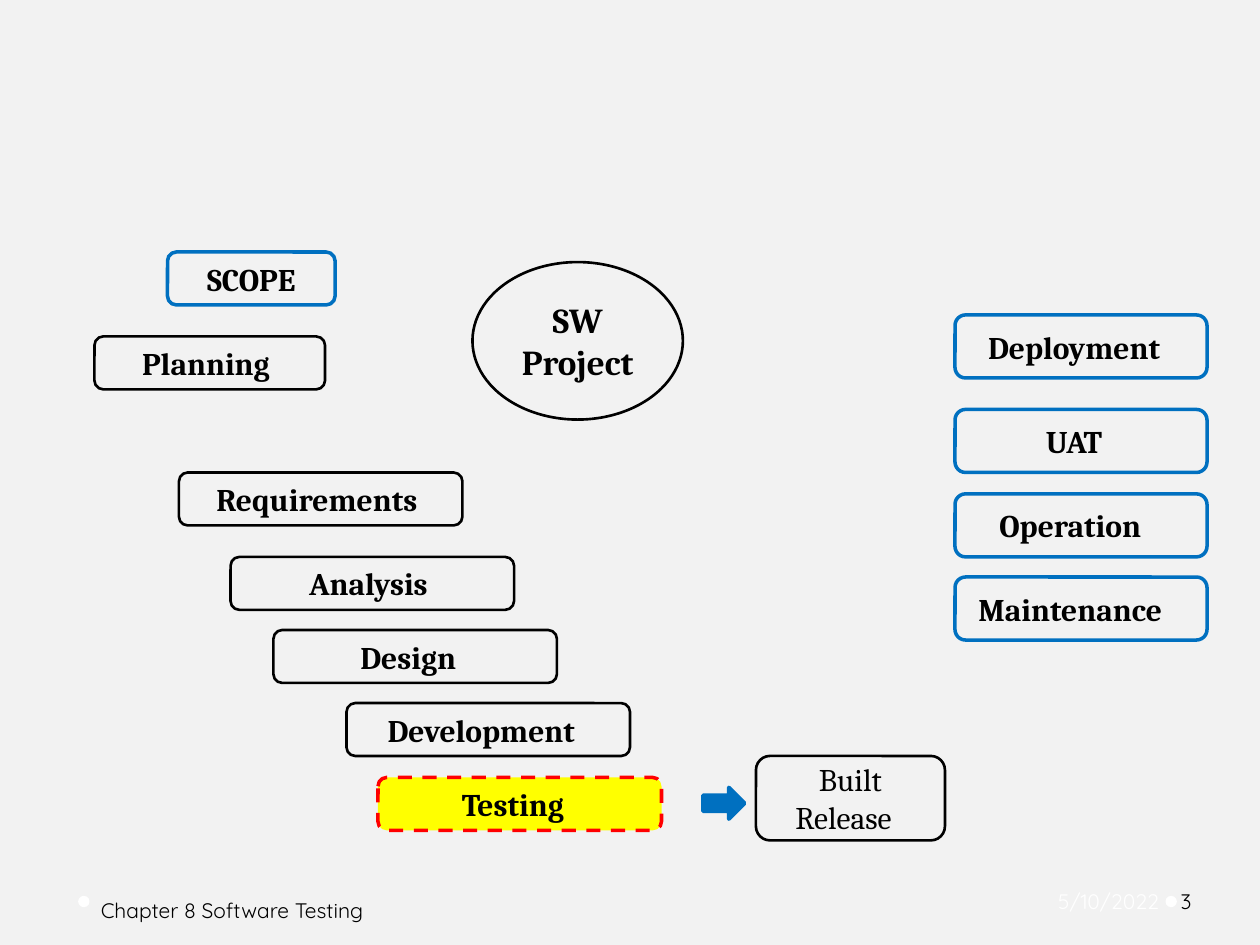
from dataclasses import dataclass

from pptx import Presentation
from pptx.dml.color import RGBColor
from pptx.enum import dml, shapes, text
from pptx.util import Inches, Pt

COLORS = {
    "background": "F2F2F2",
    "black": "000000",
    "blue": "0070C0",
    "red": "FF0000",
    "yellow": "FFFF00",
    "white": "FFFFFF",
}
SHAPE = shapes.MSO_SHAPE
STEP_HEIGHT = 0.42
STAGE_LEFT, STAGE_WIDTH, STAGE_HEIGHT = 7.58, 2, 0.5


@dataclass
class Line:
    text: str
    right_margin: float = 0  # moves the centred line slightly left


@dataclass
class Node:
    lines: list[Line]
    left: float
    top: float
    width: float
    height: float = STEP_HEIGHT
    kind: int = SHAPE.ROUNDED_RECTANGLE
    line: str = "black"
    line_width: float = 1.5
    fill: str | None = None
    dashed: bool = False
    size: float = 18
    bold: bool = True


@dataclass
class Label:
    text: str
    left: float
    top: float
    width: float
    color: str = "black"
    align: int = text.PP_ALIGN.LEFT
    left_inset: float = 0.05
    right_inset: float = 0.05


def color(name: str) -> RGBColor:
    return RGBColor.from_string(COLORS[name])


def add_run(paragraph, words: str, font: str, size: float, name: str, bold: bool = False) -> None:
    run = paragraph.add_run()
    run.text = words
    run.font.name = font
    run.font.size = Pt(size)
    run.font.bold = bold
    run.font.color.rgb = color(name)


def draw_node(slide, node: Node) -> None:
    shape = slide.shapes.add_shape(node.kind, Inches(node.left), Inches(node.top),
                                   Inches(node.width), Inches(node.height))
    shape.shadow.inherit = False
    if node.fill:
        shape.fill.solid()
        shape.fill.fore_color.rgb = color(node.fill)
    else:
        shape.fill.background()
    shape.line.color.rgb = color(node.line)
    shape.line.width = Pt(node.line_width)
    if node.dashed:
        shape.line.dash_style = dml.MSO_LINE.DASH
    frame = shape.text_frame
    frame.vertical_anchor = text.MSO_ANCHOR.MIDDLE
    for index, line in enumerate(node.lines):
        paragraph = frame.add_paragraph() if index else frame.paragraphs[0]
        paragraph.alignment = text.PP_ALIGN.CENTER
        if line.right_margin:
            paragraph._p.get_or_add_pPr().set("marR", str(Inches(line.right_margin)))
        add_run(paragraph, line.text, "Cambria", node.size, "black", node.bold)


def draw_label(slide, label: Label) -> None:
    box = slide.shapes.add_textbox(Inches(label.left), Inches(label.top),
                                   Inches(label.width), Inches(0.4))
    frame = box.text_frame
    frame.word_wrap = True
    frame.vertical_anchor = text.MSO_ANCHOR.MIDDLE
    frame.margin_left = Inches(label.left_inset)
    frame.margin_right = Inches(label.right_inset)
    paragraph = frame.paragraphs[0]
    paragraph.alignment = label.align
    add_run(paragraph, label.text, "Quicksand", 12, label.color)


def draw_dot(slide, left: float) -> None:
    dot = slide.shapes.add_shape(SHAPE.OVAL, Inches(left), Inches(7.11), Inches(0.09), Inches(0.09))
    dot.shadow.inherit = False
    dot.fill.solid()
    dot.fill.fore_color.rgb = color("white")
    dot.line.fill.background()


NODES = [
    Node([Line("SW"), Line("Project")], 3.75, 2.08, 1.67, 1.25, kind=SHAPE.OVAL, size=20),
    # Steps going down to testing
    Node([Line("SCOPE")], 1.33, 2, 1.33, line="blue", line_width=2),
    Node([Line("Planning", 0.06)], 0.75, 2.67, 1.83),
    Node([Line("Requirements", 0.06)], 1.42, 3.75, 2.25),
    Node([Line("Analysis", 0.06)], 1.83, 4.42, 2.25),
    Node([Line("Design", 0.11)], 2.17, 5, 2.25),
    Node([Line("Development", 0.11)], 2.75, 5.58, 2.25),
    Node([Line("Testing", 0.11)], 3, 6.17, 2.25,
         line="red", line_width=2, fill="yellow", dashed=True),
    # Result of testing
    Node([], 5.58, 6.25, 0.33, 0.25, kind=SHAPE.RIGHT_ARROW,
         line="blue", line_width=2.25, fill="blue"),
    Node([Line("Built"), Line("Release", 0.11)], 6, 6, 1.5, 0.67, bold=False),
]

# Stages after the release
STAGES = [
    (Line("Deployment", 0.11), 2.5),
    (Line("UAT", 0.11), 3.25),
    (Line("Operation", 0.17), 3.92),
    (Line("Maintenance", 0.17), 4.58),
]
NODES += [Node([line], STAGE_LEFT, top, STAGE_WIDTH, STAGE_HEIGHT, line="blue", line_width=2)
          for line, top in STAGES]

FOOTER = [
    Label("Chapter 8 Software Testing", 0.75, 7.02, 3.11, right_inset=0.1),
    Label("5/10/2022", 7.25, 6.95, 2, "white", text.PP_ALIGN.RIGHT),
    Label("3", 9.34, 6.95, 0.61, left_inset=0.03),
]


def main() -> None:
    presentation = Presentation()
    presentation.slide_width, presentation.slide_height = Inches(10), Inches(7.5)
    slide = presentation.slides.add_slide(presentation.slide_layouts[6])
    slide.background.fill.solid()
    slide.background.fill.fore_color.rgb = color("background")

    for left in (0.62, 9.25):
        draw_dot(slide, left)
    for node in NODES:
        draw_node(slide, node)
    for label in FOOTER:
        draw_label(slide, label)

    presentation.save("out.pptx")


if __name__ == "__main__":
    main()
